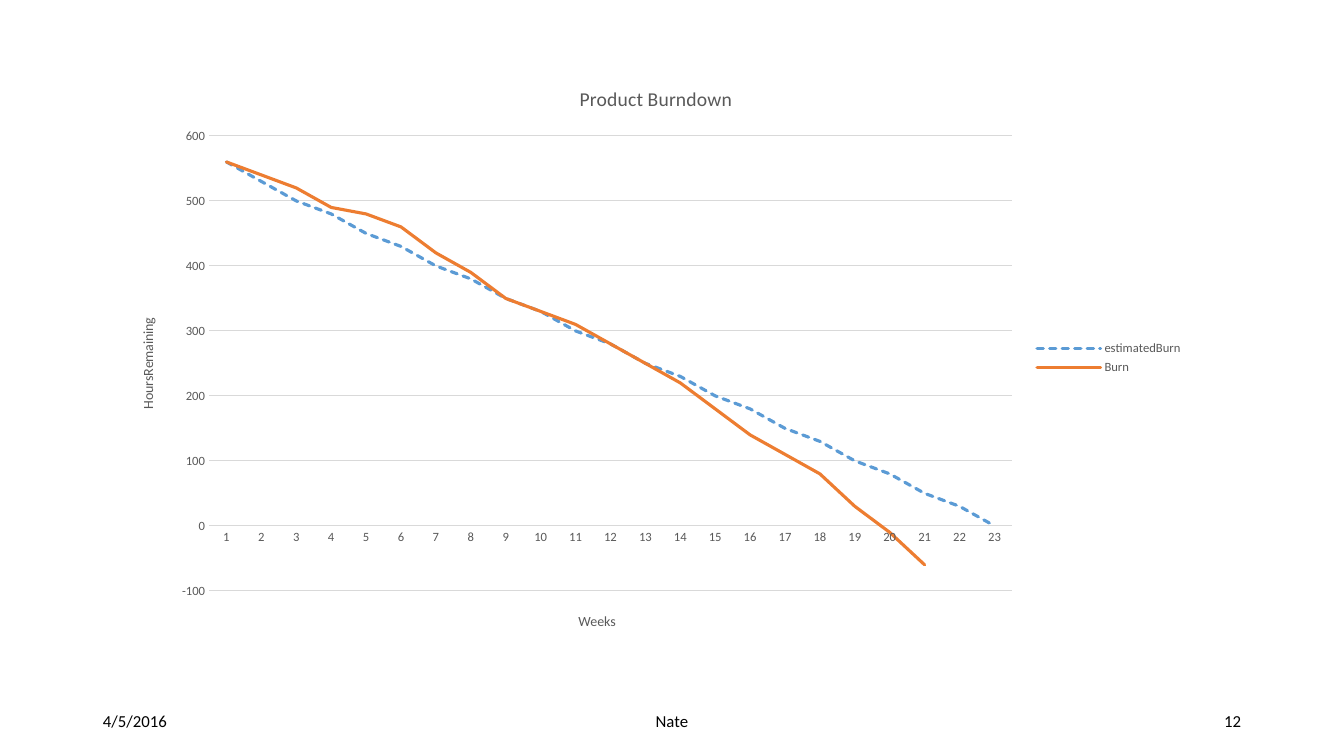
from lxml import etree
from pptx import Presentation
from pptx.chart.data import CategoryChartData
from pptx.dml.color import RGBColor
from pptx.enum.chart import XL_CHART_TYPE, XL_LEGEND_POSITION, XL_TICK_MARK
from pptx.enum.dml import MSO_LINE
from pptx.enum.text import MSO_ANCHOR, PP_ALIGN
from pptx.util import Pt

PX = 914400 / 100.8
FONT = "Calibri"
BLACK = RGBColor(0x00, 0x00, 0x00)
GREY = RGBColor(0x59, 0x59, 0x59)
GRID = RGBColor(0xD9, 0xD9, 0xD9)
BLUE = RGBColor(0x5B, 0x9B, 0xD5)
ORANGE = RGBColor(0xED, 0x7D, 0x31)
LINE_CHART = XL_CHART_TYPE.LINE
LEGEND_RIGHT = XL_LEGEND_POSITION.RIGHT
NO_TICK = XL_TICK_MARK.NONE
DASHED, SOLID = MSO_LINE.SQUARE_DOT, MSO_LINE.SOLID
MIDDLE = MSO_ANCHOR.MIDDLE
LEFT, CENTER, RIGHT = PP_ALIGN.LEFT, PP_ALIGN.CENTER, PP_ALIGN.RIGHT

WEEKS = 23
START_HOURS = 555
BURN = [560, 540, 520, 490, 480, 460, 420, 390, 350, 330, 310,
        280, 250, 220, 180, 140, 110, 80, 30, -10, -60]


def px(*lengths):
    return [round(length * PX) for length in lengths]


def style_font(font, size, color):
    font.name = FONT
    font.size = Pt(size)
    font.bold = False
    font.color.rgb = color


def set_title(owner, text, size):
    """Title a chart or an axis."""
    title = owner.chart_title if hasattr(owner, "chart_title") else owner.axis_title
    title.text_frame.text = text
    style_font(title.text_frame.paragraphs[0].font, size, GREY)


def place_plot(chart, box, plot_box):
    """Fix the inner plot area, given as px inside the chart box."""
    left, top, width, height = plot_box
    plot_area = chart._chartSpace.chart.plotArea
    ns = etree.QName(plot_area).namespace
    for old_layout in plot_area.findall(f"{{{ns}}}layout"):
        plot_area.remove(old_layout)
    layout = etree.Element(f"{{{ns}}}layout")
    manual = etree.SubElement(layout, f"{{{ns}}}manualLayout")
    settings = [("layoutTarget", "inner"), ("xMode", "edge"), ("yMode", "edge"),
                ("x", left / box[2]), ("y", top / box[3]),
                ("w", width / box[2]), ("h", height / box[3])]
    for tag, value in settings:
        etree.SubElement(manual, f"{{{ns}}}{tag}").set("val", str(value))
    plot_area.insert(0, layout)


def add_burndown(slide, box):
    # Hours remaining per week, to the nearest ten
    data = CategoryChartData()
    data.categories = [str(week) for week in range(1, WEEKS + 1)]
    estimate = [round(START_HOURS * (WEEKS - week) / (WEEKS - 1), -1)
                for week in range(1, WEEKS + 1)]
    data.add_series("estimatedBurn", estimate)
    data.add_series("Burn", BURN + [None] * (WEEKS - len(BURN)))
    chart = slide.shapes.add_chart(LINE_CHART, *px(*box), data).chart
    style_font(chart.font, 10, BLACK)
    set_title(chart, "Product Burndown", 14)
    place_plot(chart, box, (90, 71, 803, 455))

    # Burn lines with round caps
    for burn_line, color, dash in zip(chart.plots[0].series,
                                      (BLUE, ORANGE), (DASHED, SOLID)):
        burn_line.smooth = False
        stroke = burn_line.format.line
        stroke.color.rgb = color
        stroke.width = Pt(2.25)
        stroke.dash_style = dash
        stroke._get_or_add_ln().set("cap", "rnd")
    chart.plots[0].vary_by_categories = False

    # Axes
    weeks, hours = chart.category_axis, chart.value_axis
    for axis, title in ((weeks, "Weeks"), (hours, "HoursRemaining")):
        set_title(axis, title, 10)
        style_font(axis.tick_labels.font, 9, GREY)
        axis.major_tick_mark = axis.minor_tick_mark = NO_TICK
    hours.minimum_scale, hours.maximum_scale, hours.major_unit = -100, 600, 100
    hours.format.line.fill.background()
    for rule in (weeks.format.line, hours.major_gridlines.format.line):
        rule.color.rgb = GRID
        rule.width = Pt(0.75)

    # Legend
    chart.has_legend = True
    chart.legend.position = LEGEND_RIGHT
    chart.legend.include_in_layout = False
    style_font(chart.legend.font, 9, GREY)


def add_footer(slide, box):
    left, top, width, height = box
    side, middle = 302, 454
    parts = [("4/5/2016", left, side, LEFT),
             ("Nate", left + (width - middle) // 2, middle, CENTER),
             ("12", left + width - side, side, RIGHT)]
    for text, part_left, part_width, align in parts:
        frame = slide.shapes.add_textbox(
            *px(part_left, top, part_width, height)).text_frame
        frame.word_wrap = True
        frame.vertical_anchor = MIDDLE
        frame.text = text
        frame.paragraphs[0].alignment = align
        style_font(frame.paragraphs[0].font, 12, BLACK)


def main():
    deck = Presentation()
    deck.slide_width, deck.slide_height = px(1344, 756)
    slide = deck.slides.add_slide(deck.slide_layouts[6])
    add_burndown(slide, (119, 65, 1074, 586))
    add_footer(slide, (93, 701, 1158, 40))
    deck.save("out.pptx")


if __name__ == "__main__":
    main()
